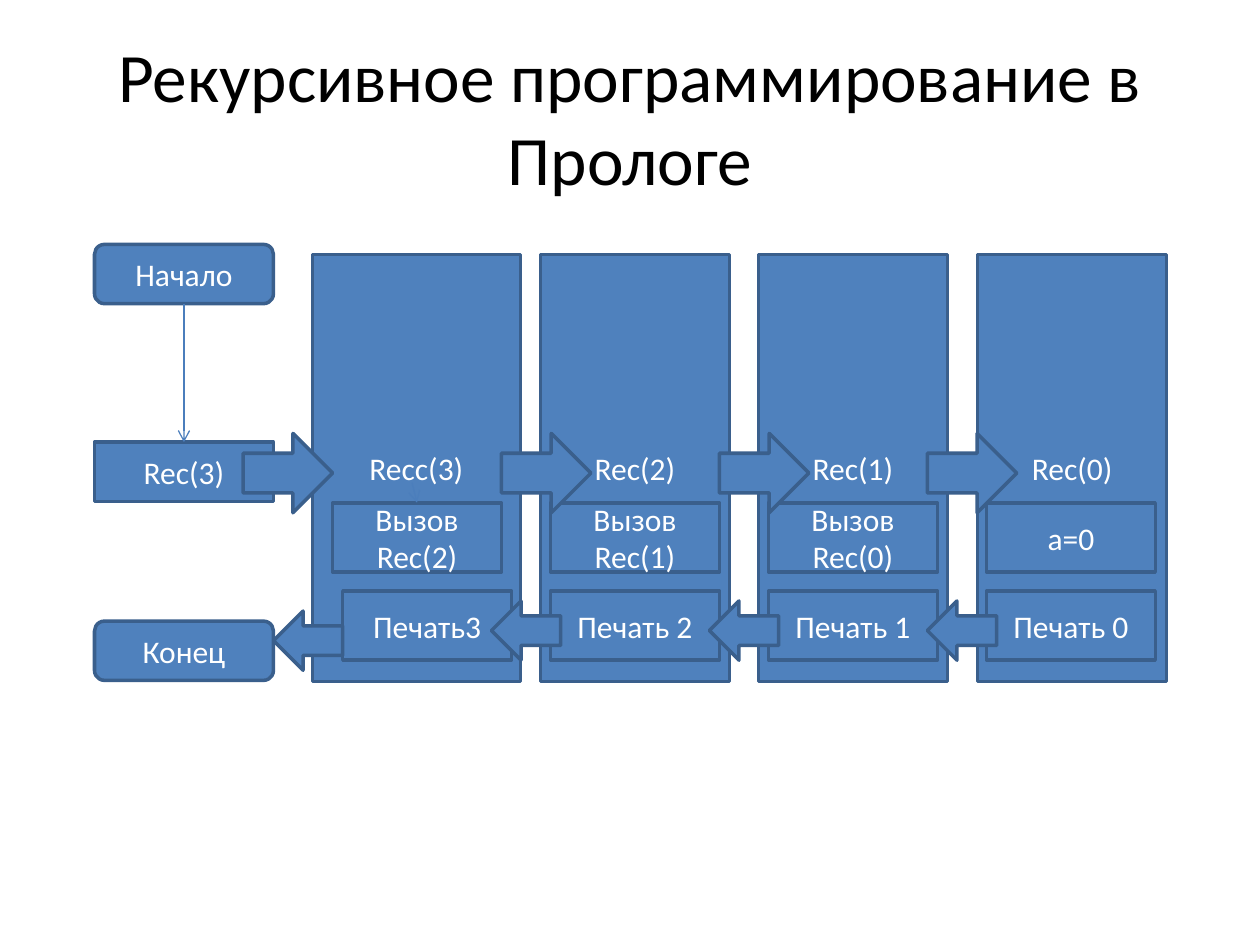
from lxml import etree
from pptx import Presentation
from pptx.dml.color import RGBColor
from pptx.enum.shapes import MSO_CONNECTOR, MSO_SHAPE
from pptx.enum.text import MSO_ANCHOR, MSO_AUTO_SIZE, PP_ALIGN
from pptx.oxml.ns import qn
from pptx.util import Inches, Pt

RECT = MSO_SHAPE.RECTANGLE
TERMINAL = MSO_SHAPE.FLOWCHART_ALTERNATE_PROCESS
RIGHT_ARROW = MSO_SHAPE.RIGHT_ARROW
LEFT_ARROW = MSO_SHAPE.LEFT_ARROW
STRAIGHT = MSO_CONNECTOR.STRAIGHT
MIDDLE = MSO_ANCHOR.MIDDLE
CENTER = PP_ALIGN.CENTER
NO_AUTOFIT = MSO_AUTO_SIZE.NONE

BLUE = RGBColor(0x4F, 0x81, 0xBD)
DARK_BLUE = RGBColor(0x3A, 0x5F, 0x8C)
LINE_BLUE = RGBColor(0x4B, 0x7E, 0xBC)
WHITE = RGBColor(0xFF, 0xFF, 0xFF)
BLACK = RGBColor(0, 0, 0)

prs = Presentation()
prs.slide_width, prs.slide_height = Inches(10), Inches(7.5)
slide = prs.slides.add_slide(prs.slide_layouts[5])


def write_text(frame, text, size=18, color=WHITE):
    frame.text = text
    frame.word_wrap = True
    frame.auto_size = NO_AUTOFIT
    frame.vertical_anchor = MIDDLE
    for paragraph in frame.paragraphs:
        paragraph.alignment = CENTER
        paragraph.font.name = "Calibri"
        paragraph.font.size = Pt(size)
        paragraph.font.color.rgb = color


def add_block(kind, left, top, width, height, text=""):
    block = slide.shapes.add_shape(
        kind, Inches(left), Inches(top), Inches(width), Inches(height))
    block.shadow.inherit = False
    block.fill.solid()
    block.fill.fore_color.rgb = BLUE
    block.line.color.rgb = DARK_BLUE
    block.line.width = Pt(2)
    if text:
        write_text(block.text_frame, text)
    return block


title = slide.shapes.title
title.left, title.top = Inches(0.5), Inches(0.3)
title.width, title.height = Inches(9), Inches(1.25)
write_text(title.text_frame, "Рекурсивное программирование в Прологе",
           size=39.6, color=BLACK)

start = add_block(TERMINAL, 0.75, 1.94, 1.42, 0.47, "Начало")
first_call = add_block(RECT, 0.75, 3.51, 1.42, 0.47, "Rec(3)")
add_block(TERMINAL, 0.75, 4.93, 1.42, 0.47, "Конец")

levels = [
    (2.48, 1.65, 2.64, 2.72, "Recc(3)", "Вызов\nRec(2)", "Печать3"),
    (4.29, 1.5, 4.37, 4.37, "Rec(2)", "Вызов\nRec(1)", "Печать 2"),
    (6.02, 1.5, 6.1, 6.1, "Rec(1)", "Вызов\nRec(0)", "Печать 1"),
    (7.76, 1.5, 7.83, 7.83, "Rec(0)", "a=0", "Печать 0"),
]
steps = []
for left, width, step_left, output_left, call, step, output in levels:
    add_block(RECT, left, 2.02, width, 3.39, call)
    steps.append(add_block(RECT, step_left, 3.99, 1.34, 0.55, step))
    add_block(RECT, output_left, 4.69, 1.34, 0.55, output)

start_link = slide.shapes.add_connector(
    STRAIGHT, Inches(1.46), Inches(2.41), Inches(1.46), Inches(3.51))
start_link.begin_connect(start, 2)
start_link.end_connect(first_call, 0)
step_link = slide.shapes.add_connector(
    STRAIGHT, Inches(3.27), Inches(3.83), Inches(3.31), Inches(3.99))
step_link.end_connect(steps[0], 0)
for link in (start_link, step_link):
    link.line.color.rgb = LINE_BLUE
    link.line.width = Pt(0.75)
    etree.SubElement(link.line._get_or_add_ln(), qn("a:tailEnd"), type="arrow")
    etree.SubElement(link._element.spPr, qn("a:effectLst"))

for left in (3.98, 5.71, 7.36, 1.93):
    add_block(RIGHT_ARROW, left, 3.44, 0.71, 0.63)
for left, top in ((2.17, 4.85), (7.36, 4.77), (5.63, 4.77), (3.9, 4.77)):
    add_block(LEFT_ARROW, left, top, 0.55, 0.47)

prs.save("out.pptx")
